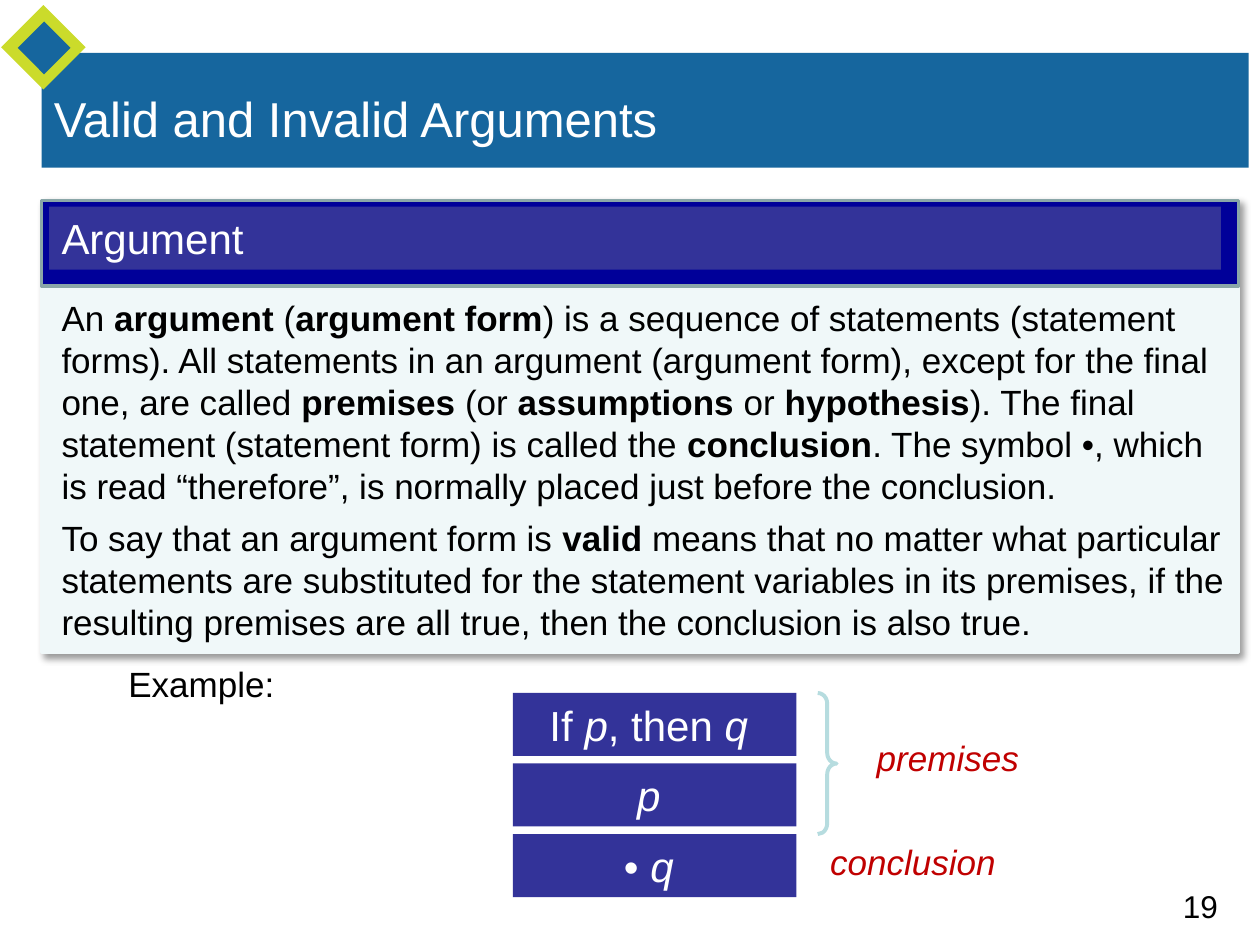
from lxml.etree import SubElement
from pptx import Presentation
from pptx.dml.color import RGBColor
from pptx.enum.shapes import MSO_SHAPE
from pptx.enum.text import MSO_ANCHOR, MSO_AUTO_SIZE, PP_ALIGN
from pptx.oxml.ns import qn
from pptx.util import Inches, Pt

COLORS = {
    "blue": "16669E", "lime": "CBDB2B", "pale": "F0F8F9", "navy": "000099",
    "gray": "8AA6A8", "indigo": "333399", "aqua": "B6DCDF",
    "red": "C00000", "black": "000000", "white": "FFFFFF",
}


def color(name):
    return RGBColor.from_string(COLORS[name])


def write(shape, text, size=20, ink="black", mark="bold", align=PP_ALIGN.LEFT,
          anchor=MSO_ANCHOR.TOP, after=0, lead=None):
    """Write one paragraph per line; words between asterisks get the mark."""
    frame = shape.text_frame
    frame.word_wrap = True
    frame.auto_size = MSO_AUTO_SIZE.NONE
    frame.vertical_anchor = anchor
    for row, line in enumerate(text.split("\n")):
        para = frame.add_paragraph() if row else frame.paragraphs[0]
        para.alignment = align
        para.space_after = Pt(after)
        if lead:
            para.line_spacing = Pt(lead)
        for i, part in enumerate(line.split("*")):
            if not part:
                continue
            run = para.add_run()
            run.text = part
            font = run.font
            font.name, font.size = "Arial", Pt(size)
            font.color.rgb = color(ink)
            if i % 2:
                setattr(font, mark, True)


class Deck:
    def __init__(self):
        self.file = Presentation()
        self.file.slide_width, self.file.slide_height = Inches(10), Inches(7.5)
        self.slide = self.file.slides.add_slide(self.file.slide_layouts[6])

    def shape(self, kind, box, fill=None, line=None, width=2):
        item = self.slide.shapes.add_shape(kind, *map(Inches, box))
        item.shadow.inherit = False
        if fill:
            item.fill.solid()
            item.fill.fore_color.rgb = color(fill)
        else:
            item.fill.background()
        if line:
            item.line.color.rgb = color(line)
            item.line.width = Pt(width)
        else:
            item.line.fill.background()
        return item

    def rect(self, box, fill, line=None):
        return self.shape(MSO_SHAPE.RECTANGLE, box, fill, line)

    def text(self, box, text, **style):
        write(self.slide.shapes.add_textbox(*map(Inches, box)), text, **style)

    def label(self, box, text, **style):
        write(self.rect(box, "indigo"), text, size=24, ink="white", **style)

    def shade(self, item):
        list_ = item._element.spPr.find(qn("a:effectLst"))
        outer = SubElement(list_, qn("a:outerShdw"), blurRad=str(Pt(4)),
                           dist=str(Pt(3)), dir="2700000", rotWithShape="0")
        tint = SubElement(outer, qn("a:srgbClr"), val=COLORS["black"])
        SubElement(tint, qn("a:alpha"), val="40000")


BODY = (
    "An *argument* (*argument form*) is a sequence of statements (statement "
    "forms). All statements in an argument (argument form), except for the "
    "final one, are called *premises* (or *assumptions* or *hypothesis*). The "
    "final statement (statement form) is called the *conclusion*. The symbol "
    "•, which is read “therefore”, is normally placed just before the "
    "conclusion.\n"
    "To say that an argument form is *valid* means that no matter what "
    "particular statements are substituted for the statement variables in its "
    "premises, if the resulting premises are all true, then the conclusion is "
    "also true."
)


def main():
    deck = Deck()

    # Page number, title bar and diamonds
    deck.text((9.29, 6.99, 0.71, 0.4), "19", size=18)
    deck.rect((0.33, 0.42, 9.58, 0.91), "blue")
    deck.shape(MSO_SHAPE.DIAMOND, (0.01, 0.04, 0.67, 0.67), "lime")
    deck.shape(MSO_SHAPE.DIAMOND, (0.14, 0.17, 0.42, 0.42), "blue")
    deck.text((0.33, 0.31, 9, 1.25), "Valid and Invalid Arguments", size=28,
              ink="white", anchor=MSO_ANCHOR.MIDDLE)

    # Definition panel
    deck.shade(deck.rect((0.33, 1.59, 9.5, 3.59), "pale", "pale"))
    deck.rect((0.33, 1.59, 9.5, 0.68), "navy", "gray")
    deck.label((0.39, 1.64, 9.3, 0.5), "Argument")
    deck.text((0.39, 2.3, 9.44, 3.21), BODY, after=6, lead=24)

    # Example: stacked statements
    deck.text((0.92, 5.21, 2.13, 0.44), "Example:")
    for i, step in enumerate(("If *p*, then *q *", "*p *", "• *q *")):
        deck.label((4.07, 5.5 + 0.56 * i, 2.25, 0.5), step, mark="italic",
                   align=PP_ALIGN.CENTER)

    # Brace and names of the parts
    brace = deck.shape(MSO_SHAPE.RIGHT_BRACE, (6.49, 5.5, 0.15, 1.12),
                       line="aqua", width=2.25)
    brace.adjustments[0] = 0.56
    for box, name in (((6.86, 5.8, 1.64, 0.44), "*premises*"),
                      ((6.49, 6.62, 1.93, 0.44), "*conclusion*")):
        deck.text(box, name, ink="red", mark="italic")

    deck.file.save("out.pptx")


if __name__ == "__main__":
    main()
